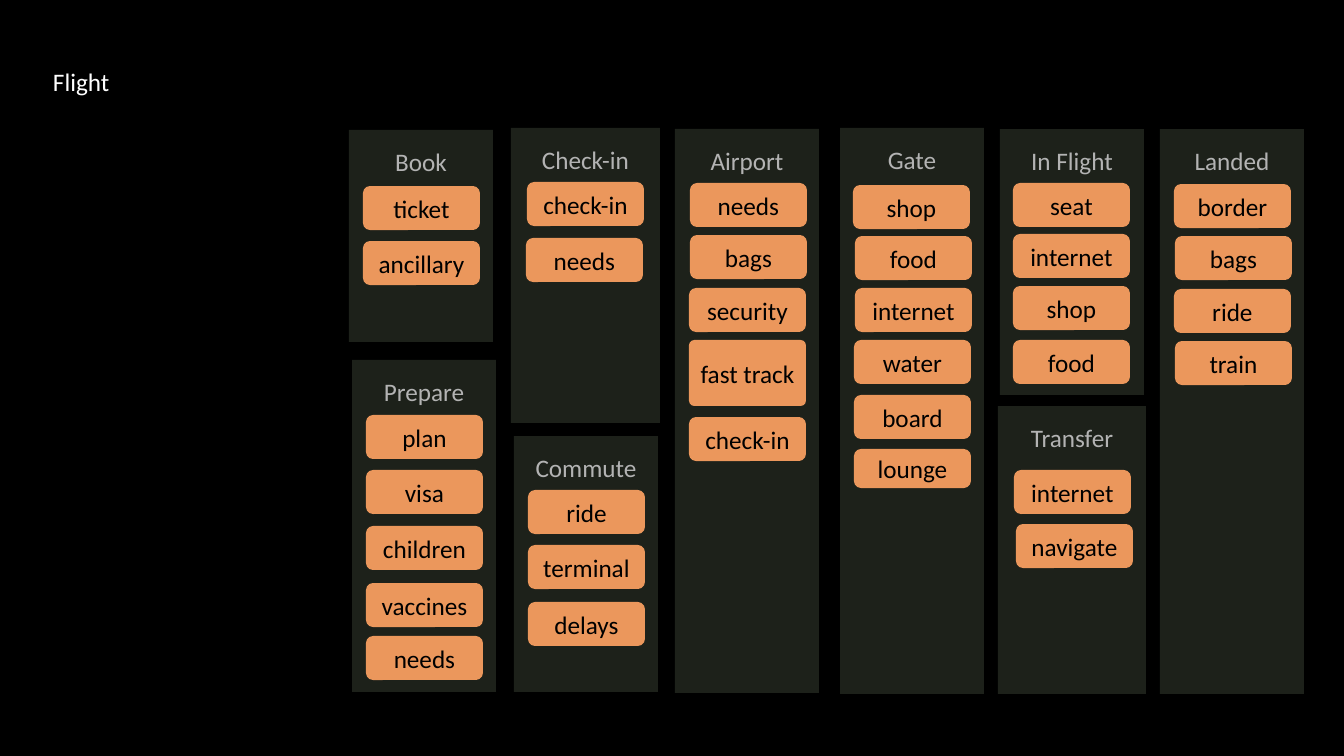
"""Build a slide of flight journey stages, each a panel of topic tiles."""
from lxml import etree
from pptx import Presentation
from pptx.dml.color import RGBColor
from pptx.enum.shapes import MSO_SHAPE
from pptx.enum.text import MSO_ANCHOR, MSO_AUTO_SIZE, PP_ALIGN
from pptx.oxml.ns import qn
from pptx.util import Pt

SCALE = 914400 / 100.8
RECTANGLE, ROUNDED = MSO_SHAPE.RECTANGLE, MSO_SHAPE.ROUNDED_RECTANGLE
TOP, MIDDLE = MSO_ANCHOR.TOP, MSO_ANCHOR.MIDDLE
LEFT, CENTER = PP_ALIGN.LEFT, PP_ALIGN.CENTER
GROW = MSO_AUTO_SIZE.SHAPE_TO_FIT_TEXT

BLACK = RGBColor(0x00, 0x00, 0x00)
WHITE = RGBColor(0xFF, 0xFF, 0xFF)
GREY = RGBColor(0xB3, 0xB3, 0xB3)
PALE_GREEN = RGBColor(0xC9, 0xE1, 0xB0)
ORANGE = RGBColor(0xEB, 0x97, 0x5C)

TILE_WIDTH, TILE_HEIGHT = 117, 44
TILE_HEIGHTS = {"fast track": 66, "lounge": 39}
CORNER = 7

STAGES = [
    ("Book", (349, 130, 144, 212), [("ticket", 363, 186), ("ancillary", 363, 241)]),
    ("Prepare", (352, 360, 144, 332), [
        ("plan", 366, 415), ("visa", 366, 470), ("children", 366, 526),
        ("vaccines", 366, 583), ("needs", 366, 636)]),
    ("Check-in", (511, 128, 149, 295), [("check-in", 527, 182), ("needs", 526, 238)]),
    ("Commute", (514, 436, 144, 256), [
        ("ride", 528, 490), ("terminal", 528, 545), ("delays", 528, 602)]),
    ("Airport", (675, 129, 144, 564), [
        ("needs", 690, 183), ("bags", 690, 235), ("security", 689, 288),
        ("fast track", 689, 340), ("check-in", 689, 417)]),
    ("Gate", (840, 128, 144, 566), [
        ("shop", 853, 185), ("food", 855, 236), ("internet", 855, 288),
        ("water", 854, 340), ("board", 854, 395), ("lounge", 854, 449)]),
    ("In Flight", (1000, 129, 144, 266), [
        ("seat", 1013, 183), ("internet", 1013, 234),
        ("shop", 1013, 286), ("food", 1013, 340)]),
    ("Transfer", (998, 406, 148, 288), [("internet", 1014, 470), ("navigate", 1016, 524)]),
    ("Landed", (1160, 129, 144, 565), [
        ("border", 1174, 184), ("bags", 1175, 236),
        ("ride", 1174, 289), ("train", 1175, 341)]),
]


def px(*lengths):
    return [round(length * SCALE) for length in lengths]


def write(shape, text, color, align, anchor, insets, wrap=True):
    frame = shape.text_frame
    left, top, right, bottom = px(*insets)
    frame_format = {"word_wrap": wrap, "vertical_anchor": anchor,
                    "margin_left": left, "margin_top": top,
                    "margin_right": right, "margin_bottom": bottom}
    for name, value in frame_format.items():
        setattr(frame, name, value)
    paragraph = frame.paragraphs[0]
    paragraph.alignment = align
    run = paragraph.add_run()
    run.text = text
    for name, value in {"name": "Calibri", "size": Pt(18)}.items():
        setattr(run.font, name, value)
    run.font.color.rgb = color


presentation = Presentation()
presentation.slide_width, presentation.slide_height = px(1344, 756)
slide = presentation.slides.add_slide(presentation.slide_layouts[6])
slide.background.fill.solid()
slide.background.fill.fore_color.rgb = BLACK

title = slide.shapes.add_textbox(*px(53, 61, 67, 40))
write(title, "Flight", WHITE, LEFT, TOP, (0, 5, 0, 5), wrap=False)
title.text_frame.auto_size = GROW

for stage, box, topics in STAGES:
    panel = slide.shapes.add_shape(RECTANGLE, *px(*box))
    panel.shadow.inherit = False
    panel.line.fill.background()
    panel.fill.solid()
    panel.fill.fore_color.rgb = PALE_GREEN
    green = panel.fill._xPr.find(".//" + qn("a:srgbClr"))
    etree.SubElement(green, qn("a:alpha"), val="15000")
    write(panel, stage, GREY, CENTER, TOP, (16, 16, 16, 16))

    for topic, left, top in topics:
        height = TILE_HEIGHTS.get(topic, TILE_HEIGHT)
        tile = slide.shapes.add_shape(ROUNDED, *px(left, top, TILE_WIDTH, height))
        tile.adjustments[0] = 0.08 if topic == "fast track" else round(CORNER / height, 2)
        tile.shadow.inherit = False
        tile.line.fill.background()
        tile.fill.solid()
        tile.fill.fore_color.rgb = ORANGE
        write(tile, topic, BLACK, CENTER, MIDDLE, (5, 5, 5, 5))

presentation.save("out.pptx")
